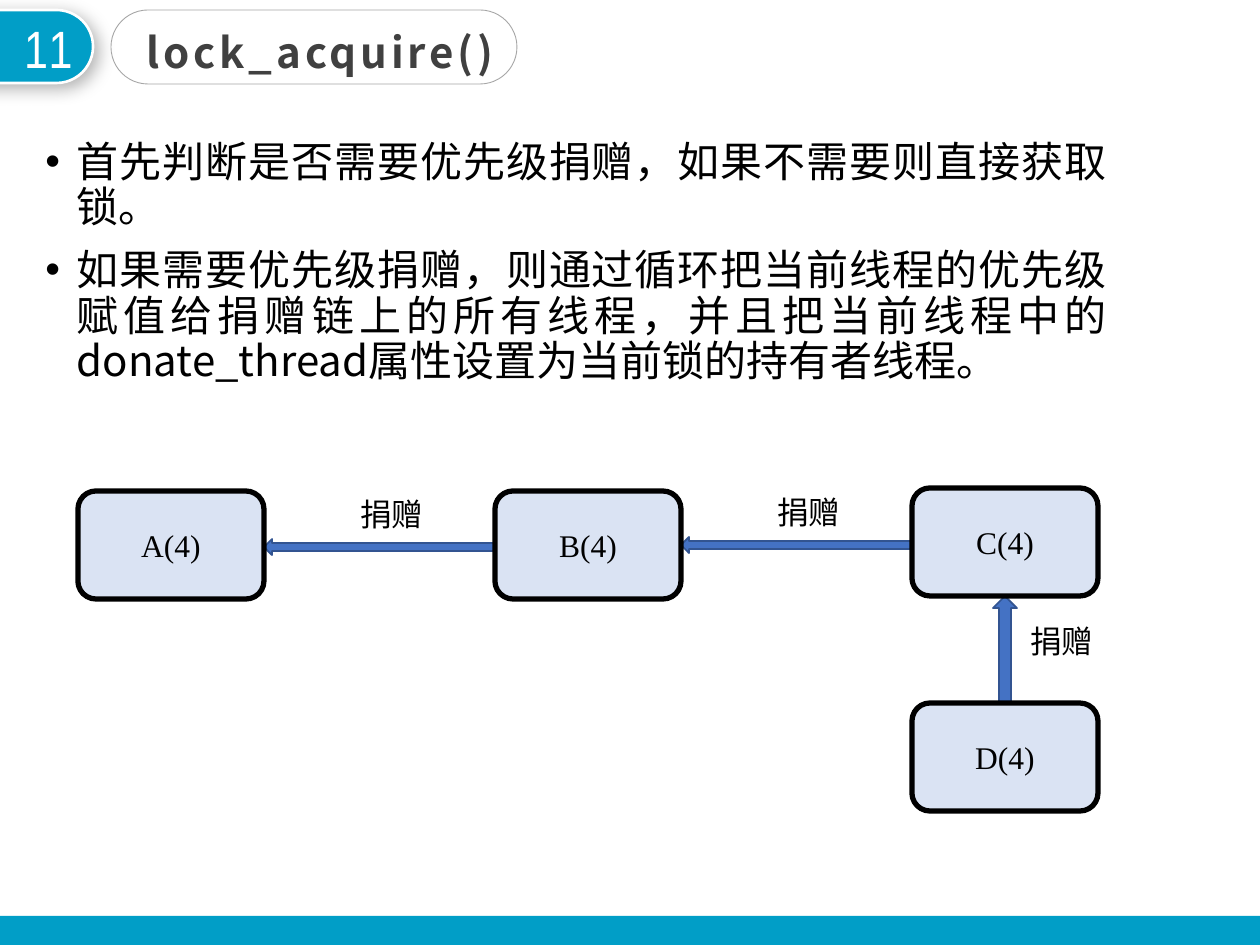
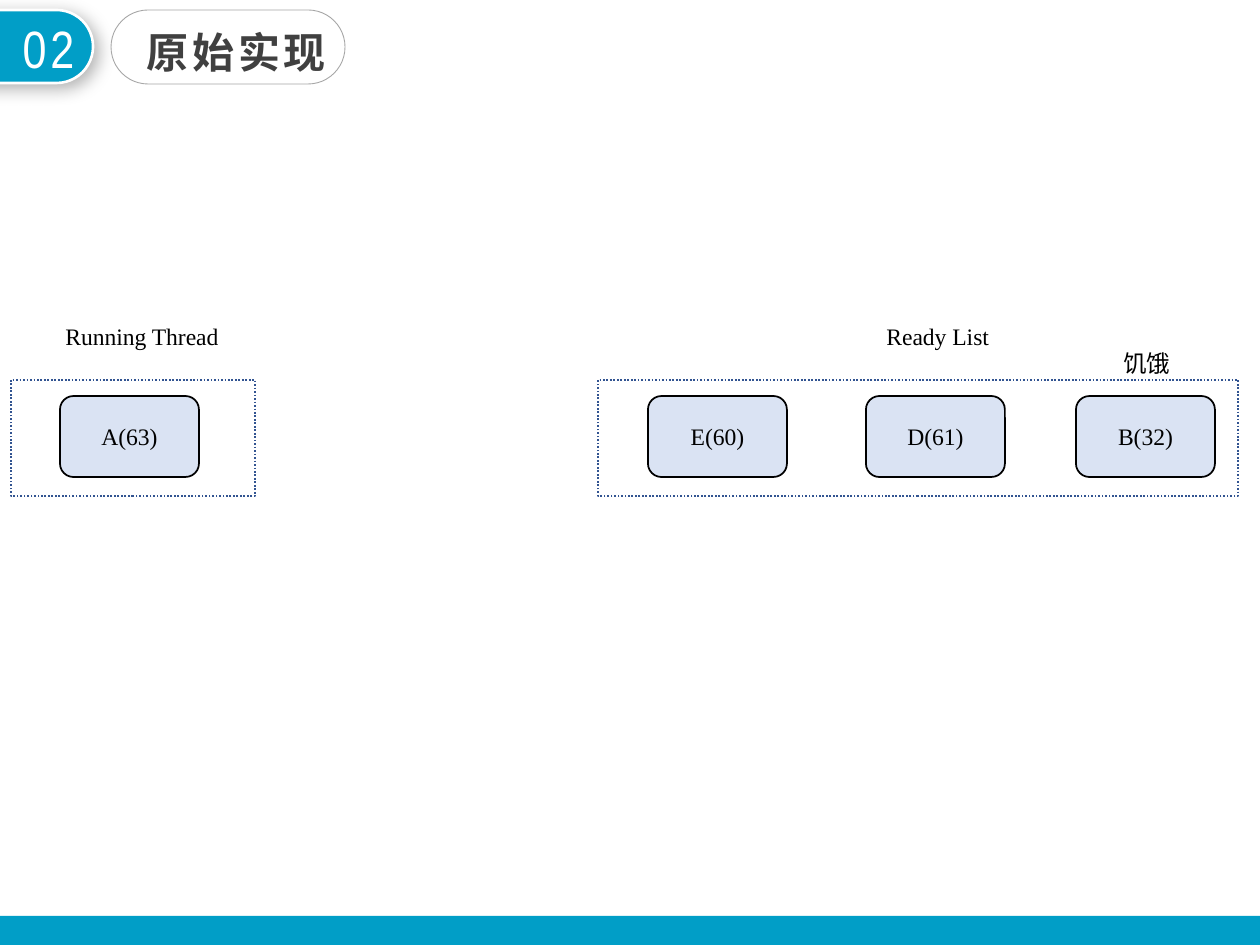
from dataclasses import dataclass

from lxml import etree
from pptx import Presentation
from pptx.dml.color import RGBColor
from pptx.enum.dml import MSO_LINE
from pptx.enum.shapes import MSO_SHAPE as Shape
from pptx.enum.text import MSO_ANCHOR as Anchor, MSO_AUTO_SIZE as AutoSize, PP_ALIGN as Align
from pptx.oxml import parse_xml
from pptx.oxml.ns import nsdecls, qn
from pptx.util import Pt

EMU_PER_PX = 914400 / 126


@dataclass(frozen=True)
class Theme:
    band: str = "019EC7"
    white: str = "FFFFFF"
    black: str = "000000"
    title: str = "404040"
    pill: str = "A6A6A6"
    box: str = "DAE3F3"
    arrow: str = "4472C4"
    outline: str = "325491"
    cjk: str = "Noto Sans CJK SC"
    serif: str = "Times New Roman"
    sans: str = "Calibri"
    narrow: str = "Arial Narrow"
    number_size: float = 30
    heading_size: float = 24
    label_size: float = 18
    small_size: float = 13.5
    tracking: int = 220


theme = Theme()


def draw(slide, kind, at, fill=None, line=None, width=1):
    """Add a preset shape, or a text box that fits its text when kind is None."""
    left, top, wide, high = (round(value * EMU_PER_PX) for value in at)
    if kind is None:
        box = slide.shapes.add_textbox(left, top, wide, high)
        box.text_frame.auto_size = AutoSize.SHAPE_TO_FIT_TEXT
        return box
    shape = slide.shapes.add_shape(kind, left, top, wide, high)
    shape.shadow.inherit = False
    if fill:
        shape.fill.solid()
        shape.fill.fore_color.rgb = RGBColor.from_string(fill)
    else:
        shape.fill.background()
    if line:
        shape.line.color.rgb = RGBColor.from_string(line)
        shape.line.width = Pt(width)
    else:
        shape.line.fill.background()
    return shape


def write(shape, text, font, size, color=theme.black, align=Align.LEFT, wrap=True,
          bold=False, tracking=0):
    frame = shape.text_frame
    frame.word_wrap = wrap
    frame.text = text
    for paragraph in frame.paragraphs:
        paragraph.alignment = align
        for run in paragraph.runs:
            run.font.name = font
            run.font.size = Pt(size)
            run.font.bold = bold
            run.font.color.rgb = RGBColor.from_string(color)
            properties = run.font._element
            etree.SubElement(properties, qn("a:ea")).set("typeface", theme.cjk)
            if tracking:
                properties.set("spc", str(tracking))


presentation = Presentation()
presentation.slide_width = round(1260 * EMU_PER_PX)
presentation.slide_height = round(945 * EMU_PER_PX)

# Shared frame: numbered tab, title pill, bottom band
slides = []
for number, title, pill_width in (("11", "lock_acquire()", 406), ("02", "原始实现", 234)):
    slide = presentation.slides.add_slide(presentation.slide_layouts[6])
    slides.append(slide)

    tab = draw(slide, Shape.ROUNDED_RECTANGLE, (-43, -53, 73, 199), theme.band, theme.white, 1.5)
    tab.rotation = 90
    tab.adjustments[0] = 0.5
    effects = tab._element.spPr.find(qn("a:effectLst"))
    effects.append(parse_xml(
        f'<a:outerShdw {nsdecls("a")} blurRad="{Pt(10)}" dist="{Pt(4)}" dir="2700000" '
        f'algn="tl" rotWithShape="0"><a:srgbClr val="{theme.black}">'
        '<a:alpha val="30000"/></a:srgbClr></a:outerShdw>'))
    write(draw(slide, None, (3, 10, 91, 77)), number, theme.narrow, theme.number_size,
          theme.white, Align.CENTER, tracking=theme.tracking)

    pill = draw(slide, Shape.ROUNDED_RECTANGLE, (111, 10, pill_width, 74), None, theme.pill, 0.5)
    pill.adjustments[0] = 0.5
    write(draw(slide, None, (134, 20, 483, 63)), title, theme.cjk, theme.heading_size,
          theme.title, bold=True, tracking=theme.tracking)
    draw(slide, Shape.RECTANGLE, (0, 916, 1260, 29), theme.band)

donation_slide, queue_slide = slides

# Donation slide: explanation
body = draw(donation_slide, None, (33, 135, 1086, 450))
body.text_frame.auto_size = AutoSize.NONE
write(body, "首先判断是否需要优先级捐赠，如果不需要则直接获取锁。\n"
      "如果需要优先级捐赠，则通过循环把当前线程的优先级赋值给捐赠链上的所有线程，"
      "并且把当前线程中的donate_thread属性设置为当前锁的持有者线程。",
      theme.cjk, theme.heading_size, align=Align.JUSTIFY)
for paragraph in body.text_frame.paragraphs:
    paragraph.line_spacing = 0.9
    paragraph.space_before = Pt(10)
    properties = paragraph._p.get_or_add_pPr()
    properties.set("marL", "228600")
    properties.set("indent", "-228600")
    etree.SubElement(properties, qn("a:buFont")).set("typeface", "Arial")
    etree.SubElement(properties, qn("a:buChar")).set("char", "•")

# Donation slide: arrows and their labels
for kind, arrow_at, label_left, label_top in (
    (Shape.LEFT_ARROW, (264, 539, 232, 16), 348, 489),
    (Shape.LEFT_ARROW, (681, 537, 232, 16), 765, 487),
    (Shape.UP_ARROW, (993, 596, 24, 108), 1018, 616),
):
    draw(donation_slide, kind, arrow_at, theme.arrow, theme.outline)
    write(draw(donation_slide, None, (label_left, label_top, 89, 51)), "捐赠",
          theme.cjk, theme.label_size, wrap=False)

# Thread boxes of both slides
donation_style = (donation_slide, 186, 108, 3, theme.label_size)
queue_style = (queue_slide, 139, 81, 1, theme.small_size)
for style, threads in (
    (donation_style, (("D(4)", 912, 703), ("C(4)", 912, 488), ("B(4)", 495, 491), ("A(4)", 78, 491))),
    (queue_style, (("A(63)", 60, 396), ("B(32)", 1076, 396), ("D(61)", 866, 396), ("E(60)", 648, 396))),
):
    slide, wide, high, line_width, size = style
    for name, left, top in threads:
        thread = draw(slide, Shape.ROUNDED_RECTANGLE, (left, top, wide, high),
                      theme.box, theme.black, line_width)
        thread.text_frame.vertical_anchor = Anchor.MIDDLE
        write(thread, name, theme.serif, size, align=Align.CENTER)

# Queue slide: captions
for caption, font, at in (
    ("饥饿", theme.sans, (1111, 343, 73, 42)),
    ("Running Thread", theme.serif, (53, 316, 180, 42)),
    ("Ready List", theme.serif, (874, 316, 130, 42)),
):
    write(draw(queue_slide, None, at), caption, font, theme.small_size, wrap=False)

# Queue slide: dotted frames around the running thread and the ready list
for left, wide in ((11, 244), (598, 640)):
    frame = draw(queue_slide, Shape.RECTANGLE, (left, 380, wide, 116), None, theme.outline)
    frame.line.dash_style = MSO_LINE.ROUND_DOT

presentation.save("out.pptx")
